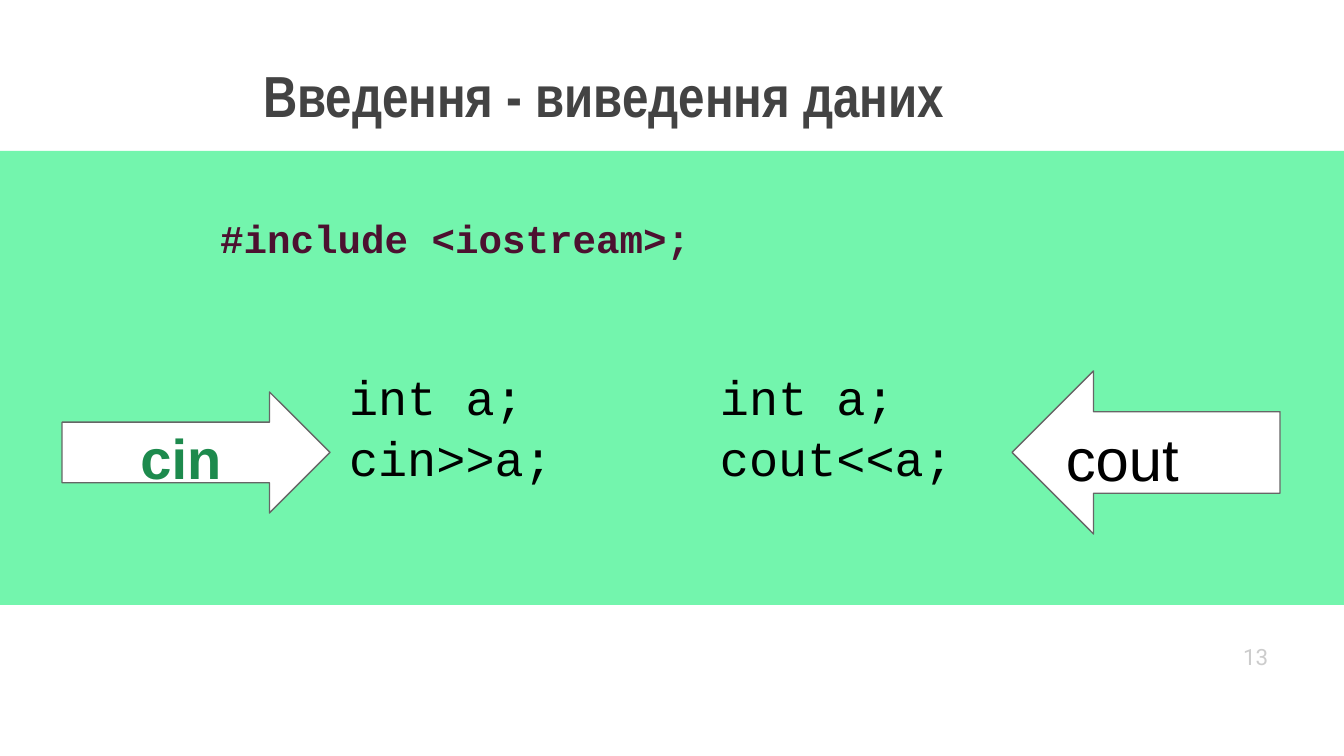
from pptx import Presentation
from pptx.dml.color import RGBColor
from pptx.enum.shapes import MSO_SHAPE
from pptx.enum.text import MSO_ANCHOR, MSO_AUTO_SIZE, PP_ALIGN
from pptx.util import Pt

EMU_PER_PX = 914400 / 134.4
RECTANGLE = MSO_SHAPE.RECTANGLE
RIGHT_ARROW, LEFT_ARROW = MSO_SHAPE.RIGHT_ARROW, MSO_SHAPE.LEFT_ARROW
TOP, MIDDLE = MSO_ANCHOR.TOP, MSO_ANCHOR.MIDDLE
LEFT, CENTER = PP_ALIGN.LEFT, PP_ALIGN.CENTER
NO_AUTOFIT = MSO_AUTO_SIZE.NONE

MINT = RGBColor(0x73, 0xF5, 0xAD)
WHITE = RGBColor(0xFF, 0xFF, 0xFF)
BLACK = RGBColor(0, 0, 0)
DARK_GRAY = RGBColor(0x43, 0x43, 0x43)
OUTLINE_GRAY = RGBColor(0x66, 0x66, 0x66)
LIGHT_GRAY = RGBColor(0xCC, 0xCC, 0xCC)
PLUM = RGBColor(0x4C, 0x11, 0x30)
GREEN = RGBColor(0x1D, 0x8A, 0x4D)


def px(*lengths):
    return [round(length * EMU_PER_PX) for length in lengths]


def write(shape, text, font="Arial", size=12, color=BLACK, bold=False,
          align=LEFT, anchor=TOP, spacing=1.15):
    frame = shape.text_frame
    frame.word_wrap = True
    frame.auto_size = NO_AUTOFIT
    frame.vertical_anchor = anchor
    inset = px(13)[0]
    frame.margin_left = frame.margin_right = inset
    frame.margin_top = frame.margin_bottom = inset
    frame.text = text
    for paragraph in frame.paragraphs:
        paragraph.alignment = align
        paragraph.line_spacing = spacing
        paragraph.font.name = font
        paragraph.font.size = Pt(size)
        paragraph.font.bold = bold
        paragraph.font.color.rgb = color


presentation = Presentation()
presentation.slide_width, presentation.slide_height = px(1344, 756)
slide = presentation.slides.add_slide(presentation.slide_layouts[5])
shapes = slide.shapes

# Title
title = shapes.title
title.left, title.top, title.width, title.height = px(62, 36, 1083, 164)
write(title, "Введення - виведення даних", font="Arial Narrow", size=31,
      color=DARK_GRAY, bold=True, align=CENTER)

# Green band, behind the title
band = shapes.add_shape(RECTANGLE, *px(0, 151, 1344, 454))
band.shadow.inherit = False
band.fill.solid()
band.fill.fore_color.rgb = MINT
band.line.fill.background()
title.element.addprevious(band.element)

# Code samples
for left, height, code in [(336, 204, "int a;\ncin>>a;"),
                           (707, 289, "int a;\ncout<<a;")]:
    sample = shapes.add_textbox(*px(left, 351, 328, height))
    write(sample, code, font="Courier New", size=26, spacing=1.05)

include = shapes.add_textbox(*px(207, 194, 586, 98))
write(include, "#inсlude <iostream>;", font="Courier New", size=21,
      color=PLUM, bold=True)

# Input and output arrows
for kind, box, label, text_format in [
    (RIGHT_ARROW, (62, 392, 268, 121), "cin",
     dict(size=30, color=GREEN, bold=True, align=CENTER)),
    (LEFT_ARROW, (1012, 371, 268, 163), "cout", dict(size=32)),
]:
    arrow = shapes.add_shape(kind, *px(*box))
    arrow.shadow.inherit = False
    arrow.fill.solid()
    arrow.fill.fore_color.rgb = WHITE
    arrow.line.color.rgb = OUTLINE_GRAY
    arrow.line.width = Pt(0.75)
    write(arrow, label, anchor=MIDDLE, **text_format)

# Slide number
number = shapes.add_textbox(*px(1230, 628, 81, 58))
write(number, "13", font="Roboto", color=LIGHT_GRAY, anchor=MIDDLE, spacing=1)

presentation.save("out.pptx")
